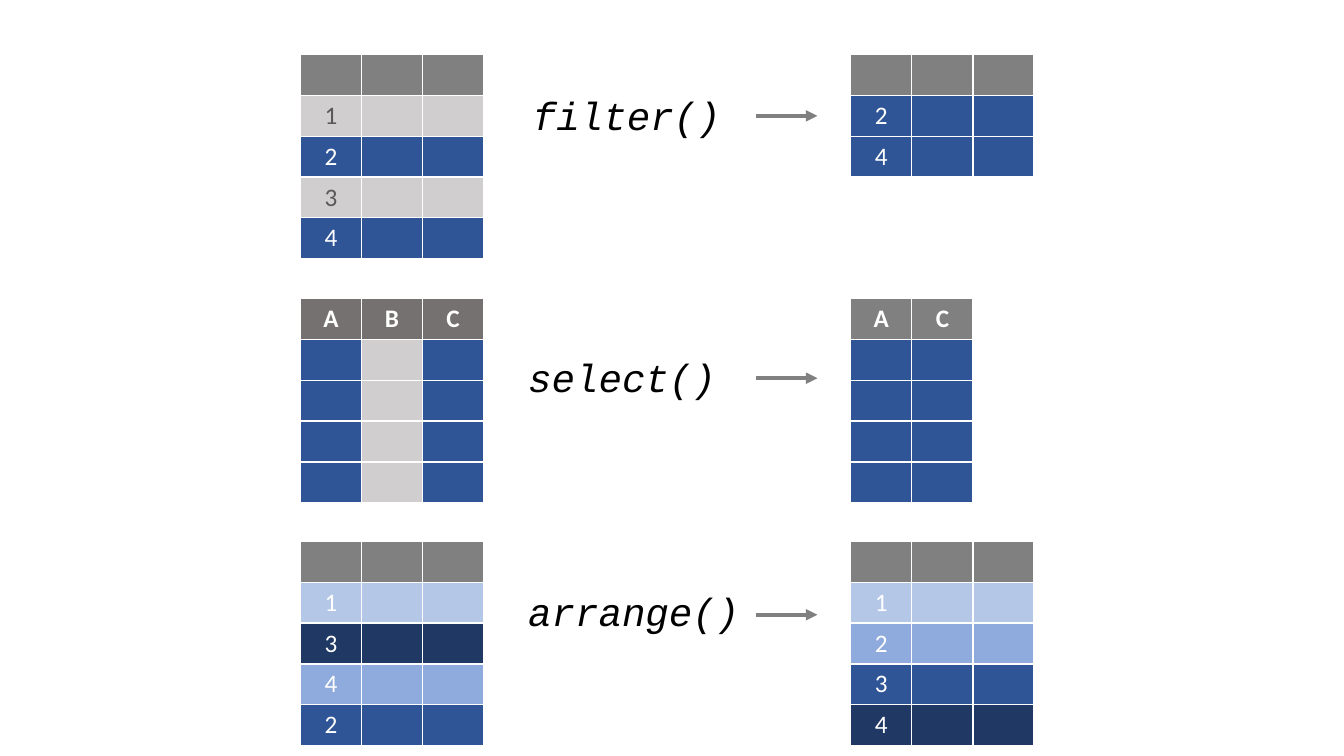
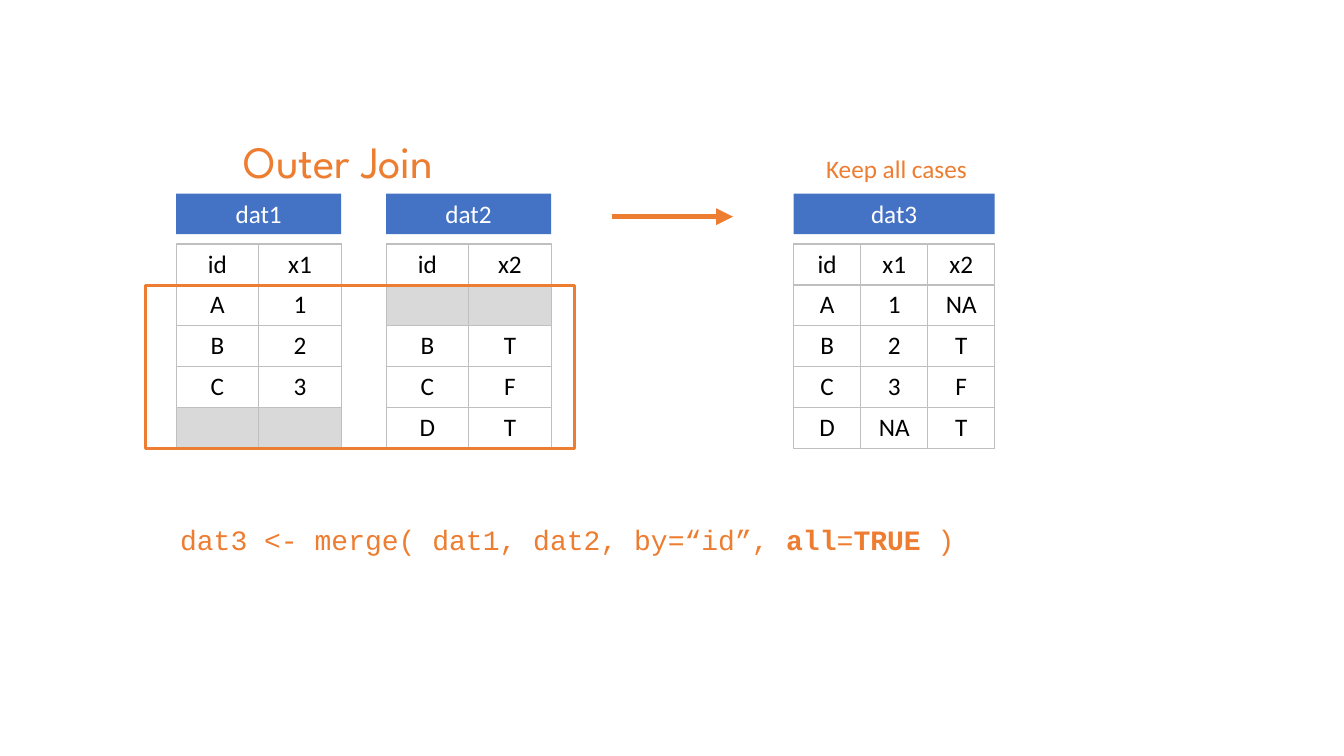
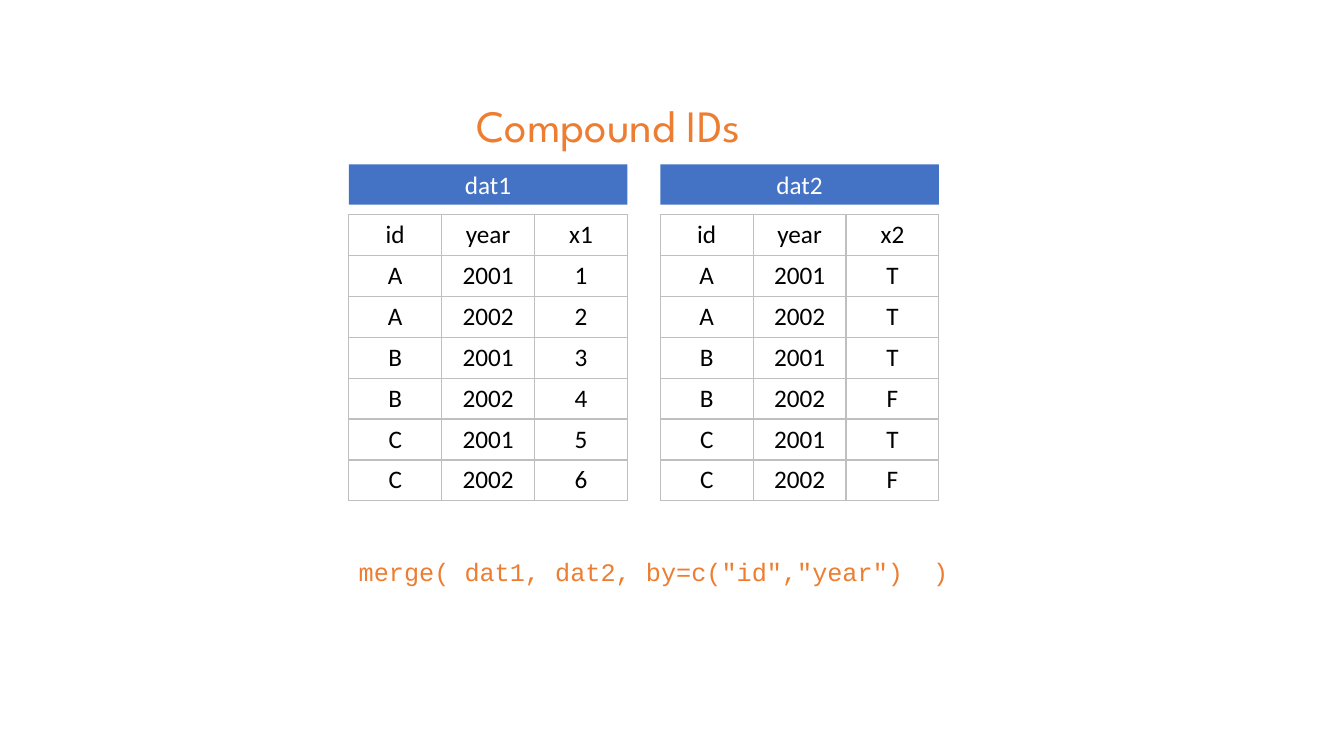
from dataclasses import dataclass

from lxml.etree import SubElement
from pptx import Presentation
from pptx.dml.color import RGBColor
from pptx.enum.shapes import MSO_CONNECTOR, MSO_SHAPE
from pptx.enum.text import MSO_ANCHOR, MSO_AUTO_SIZE, PP_ALIGN
from pptx.oxml.ns import qn
from pptx.util import Cm, Pt

WHITE = RGBColor(0xFF, 0xFF, 0xFF)
BLACK = RGBColor(0x00, 0x00, 0x00)
GRAY = RGBColor(0x80, 0x80, 0x80)
WARM_GRAY = RGBColor(0x76, 0x71, 0x71)
DARK_GRAY = RGBColor(0x59, 0x59, 0x59)
DROPPED = RGBColor(0xD0, 0xCE, 0xCE)
MISSING = RGBColor(0xD9, 0xD9, 0xD9)
GRID = RGBColor(0xBF, 0xBF, 0xBF)
PALE = RGBColor(0xB4, 0xC7, 0xE7)
LIGHT = RGBColor(0x8F, 0xAA, 0xDC)
KEPT = RGBColor(0x2F, 0x55, 0x97)
NAVY = RGBColor(0x20, 0x38, 0x64)
BLUE = RGBColor(0x44, 0x72, 0xC4)
ORANGE = RGBColor(0xED, 0x7D, 0x31)

BODY_FONT = "Calibri"
CODE_FONT = "Courier New"
TITLE_FONT = "League Spartan"

TITLE_ONLY, BLANK = 5, 6
ROW_HEIGHT = 1.03
SHADE_COLUMN = 1.54


@dataclass(frozen=True)
class Cell:
    text: str = ""
    fill: RGBColor = None
    color: RGBColor = WHITE
    bold: bool = False


def add_run(p, text, size, color, font=BODY_FONT, bold=False, italic=False):
    r = p.add_run()
    r.text = text
    r.font.name = font
    r.font.size = Pt(size)
    r.font.bold = bold
    r.font.italic = italic
    r.font.color.rgb = color


def add_text(s, left, top, width, height, text, size, color, **style):
    tf = s.shapes.add_textbox(Cm(left), Cm(top), Cm(width), Cm(height)).text_frame
    tf.word_wrap = True
    p = tf.paragraphs[0]
    if text:
        add_run(p, text, size, color, **style)
    return p


def set_title(s, left, top, width, text):
    sp = s.shapes.title
    sp.left, sp.top, sp.width, sp.height = Cm(left), Cm(top), Cm(width), Cm(1.62)
    tf = sp.text_frame
    tf.auto_size = MSO_AUTO_SIZE.NONE
    tf.vertical_anchor = MSO_ANCHOR.TOP
    p = tf.paragraphs[0]
    p.alignment = PP_ALIGN.LEFT
    add_run(p, text, 32, ORANGE, TITLE_FONT)


def add_arrow(s, left, top, width, color, weight):
    line = s.shapes.add_connector(
        MSO_CONNECTOR.STRAIGHT, Cm(left), Cm(top), Cm(left + width), Cm(top))
    line.line.color.rgb = color
    line.line.width = Pt(weight)
    SubElement(line.line._get_or_add_ln(), qn("a:tailEnd"), type="triangle")
    SubElement(line._element.spPr, qn("a:effectLst"))


def add_rect(s, left, top, width, height):
    sp = s.shapes.add_shape(
        MSO_SHAPE.RECTANGLE, Cm(left), Cm(top), Cm(width), Cm(height))
    sp.shadow.inherit = False
    return sp


def set_borders(cell, color):
    tc_pr = cell._tc.get_or_add_tcPr()
    for side in ("lnL", "lnR", "lnT", "lnB"):
        ln = SubElement(tc_pr, qn(f"a:{side}"), w=str(Pt(1)))
        fill = SubElement(ln, qn("a:solidFill"))
        SubElement(fill, qn("a:srgbClr"), val=str(color))


def add_grid(s, left, top, column, rows, border):
    n_rows, n_cols = len(rows), len(rows[0])
    table = s.shapes.add_table(
        n_rows, n_cols, Cm(left), Cm(top),
        Cm(column * n_cols), Cm(ROW_HEIGHT * n_rows)).table
    table.first_row = False
    table.horz_banding = False
    for col in table.columns:
        col.width = Cm(column)
    for i, row in enumerate(rows):
        table.rows[i].height = Cm(ROW_HEIGHT)
        for j, item in enumerate(row):
            cell = table.cell(i, j)
            set_borders(cell, border)
            if item.fill is None:
                cell.fill.background()
            else:
                cell.fill.solid()
                cell.fill.fore_color.rgb = item.fill
            p = cell.text_frame.paragraphs[0]
            p.alignment = PP_ALIGN.CENTER
            if item.text:
                add_run(p, item.text, 18, item.color, bold=item.bold)


def shaded_rows(*rows):
    grid = [[Cell(fill=GRAY)] * 3]
    for text, fill in rows:
        color = DARK_GRAY if fill == DROPPED else WHITE
        grid.append([Cell(text, fill, color)] + [Cell(fill=fill)] * 2)
    return grid


def shaded_columns(names, header, fills):
    return ([[Cell(name, header, bold=True) for name in names]]
            + [[Cell(fill=fill) for fill in fills]] * 4)


def add_operation(s, left, top, name, label_at, arrow_dy, before, after):
    dx, dy = label_at
    add_grid(s, left, top, SHADE_COLUMN, before, WHITE)
    add_grid(s, left + 13.87, top, SHADE_COLUMN, after, WHITE)
    add_text(s, left + dx, top + dy, 6.1, 1.45, name, 28, BLACK,
             font=CODE_FONT, italic=True)
    add_arrow(s, left + 11.48, top + arrow_dy, 1.55, GRAY, 2.75)


def add_data_frame(s, left, top, column, name, *rows):
    records = [row.split() for row in rows]
    n_cols = len(records[0])
    band = add_rect(s, left, top, column * n_cols, 1.02)
    band.fill.solid()
    band.fill.fore_color.rgb = BLUE
    band.line.fill.background()
    p = band.text_frame.paragraphs[0]
    p.alignment = PP_ALIGN.CENTER
    add_run(p, name, 18, WHITE)
    cells = [[Cell(text, color=BLACK) for text in record]
             or [Cell(fill=MISSING)] * n_cols for record in records]
    add_grid(s, left, top + 1.27, column, cells, GRID)


def build_operations(prs):
    s = prs.slides.add_slide(prs.slide_layouts[BLANK])
    left = 7.57
    add_operation(
        s, left, 1.37, "filter()", (5.61, 0.81), 1.55,
        shaded_rows(("1", DROPPED), ("2", KEPT), ("3", DROPPED), ("4", KEPT)),
        shaded_rows(("2", KEPT), ("4", KEPT)))
    add_operation(
        s, left, 7.52, "select()", (5.49, 1.27), 2.01,
        shaded_columns("ABC", WARM_GRAY, (KEPT, DROPPED, KEPT)),
        shaded_columns("AC", GRAY, (KEPT, KEPT)))
    add_operation(
        s, left, 13.64, "arrange()", (5.49, 1.04), 1.85,
        shaded_rows(("1", PALE), ("3", NAVY), ("4", LIGHT), ("2", KEPT)),
        shaded_rows(("1", PALE), ("2", LIGHT), ("3", KEPT), ("4", NAVY)))


def build_outer_join(prs):
    s = prs.slides.add_slide(prs.slide_layouts[TITLE_ONLY])
    set_title(s, 5.89, 3.25, 6.2, "Outer Join")
    top = 4.88
    add_data_frame(s, 4.44, top, 2.08, "dat1",
                   "id x1", "A 1", "B 2", "C 3", "")
    add_data_frame(s, 9.73, top, 2.08, "dat2",
                   "id x2", "", "B T", "C F", "D T")
    add_data_frame(s, 20, top, 1.69, "dat3",
                   "id x1 x2", "A 1 NA", "B 2 T", "C 3 F", "D NA T")
    frame = add_rect(s, 3.66, 7.19, 10.82, 4.11)
    frame.fill.background()
    frame.line.color.rgb = ORANGE
    frame.line.width = Pt(2)
    add_arrow(s, 15.42, 5.46, 3.05, ORANGE, 4)
    add_text(s, 20.57, 3.73, 4.4, 1.02, "Keep all cases", 18, ORANGE)
    p = add_text(s, 4.29, 13.03, 22.28, 1.12, "", 20, ORANGE)
    for text, bold in (("dat3 <- merge( dat1, dat2, by=“id”, ", False),
                       ("all", True), ("=", False), ("TRUE", True), (" )", False)):
        add_run(p, text, 20, ORANGE, CODE_FONT, bold)


def build_compound_ids(prs):
    s = prs.slides.add_slide(prs.slide_layouts[TITLE_ONLY])
    set_title(s, 11.76, 2.34, 8.81, "Compound IDs")
    keys = [f"{unit} {year}" for unit in "ABC" for year in (2001, 2002)]
    for left, name, value, values in ((8.79, "dat1", "x1", "123456"),
                                      (16.64, "dat2", "x2", "TTTFTF")):
        add_data_frame(s, left, 4.14, 2.34, name, f"id year {value}",
                       *(f"{key} {v}" for key, v in zip(keys, values)))
    add_text(s, 8.79, 13.89, 16, 1.02,
             'merge( dat1, dat2, by=c("id","year")  )', 18, ORANGE,
             font=CODE_FONT)


def main():
    prs = Presentation()
    prs.slide_width, prs.slide_height = Cm(33.87), Cm(19.05)
    build_operations(prs)
    build_outer_join(prs)
    build_compound_ids(prs)
    prs.save("out.pptx")


if __name__ == "__main__":
    main()
